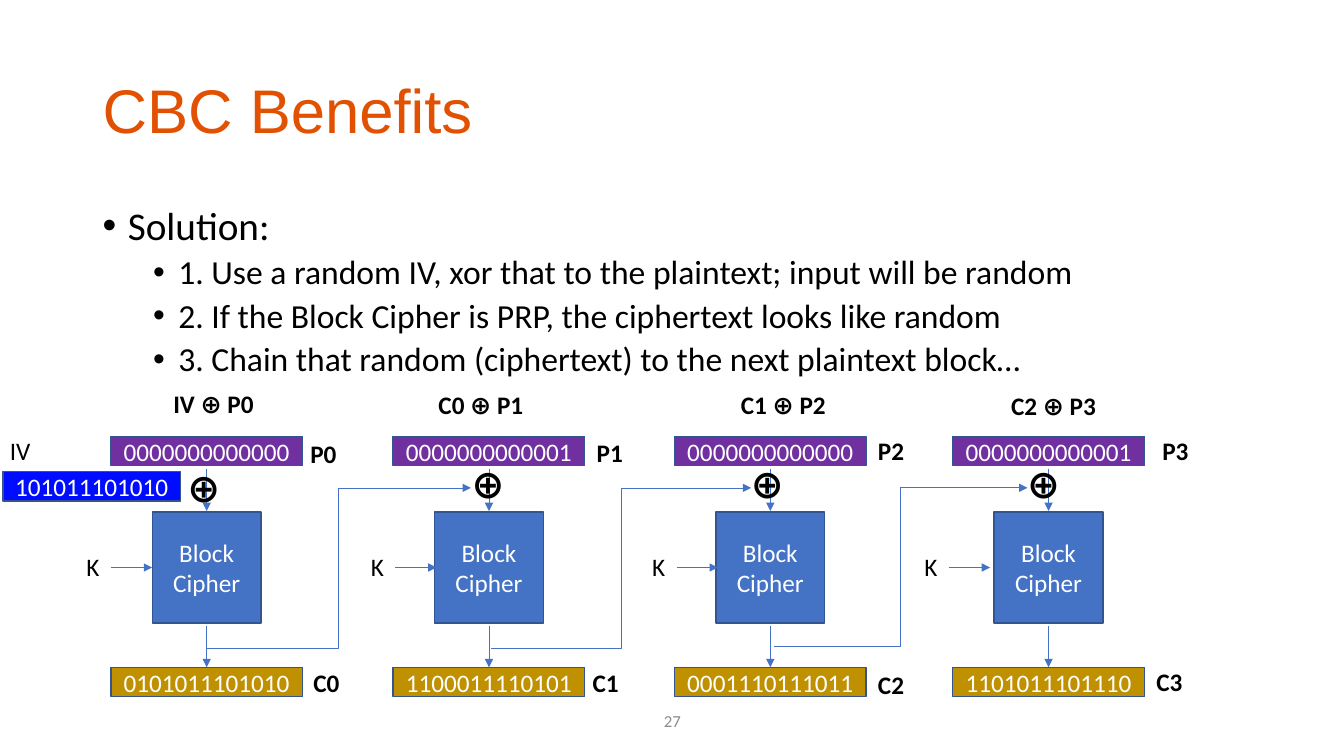
from collections import namedtuple

from lxml.etree import SubElement
from pptx import Presentation
from pptx.dml.color import RGBColor
from pptx.enum.shapes import MSO_CONNECTOR as Connector, MSO_SHAPE as Shape
from pptx.enum.text import MSO_ANCHOR as Anchor, PP_ALIGN as Align
from pptx.oxml.ns import qn
from pptx.util import Pt

PX = 9144  # 100 px to the inch
COLORS = {
    "title": "E15101", "text": "000000", "number": "8C8C8C", "white": "FFFFFF",
    "plain": "7030A0", "block": "4472C4", "cipher": "BF9000", "iv": "000CFF",
    "outline": "325491", "arrow": "4472C4",
}

# Label positions are offsets from the top left corner of the stage.
Stage = namedtuple("Stage", "left plain cipher formula formula_at plain_at cipher_at xor_at key_x")
STAGES = [
    Stage(110, "0000000000000", "0101011101010", "IV ⊕ P0",
          (52, -53), (188, -3), (191, 224), (66, 22), 0),
    Stage(390, "0000000000001", "1100011110101", "C0 ⊕ P1",
          (35, -52), (192, -4), (188, 224), (68, 18), 2),
    Stage(669, "0000000000000", "0001110111011", "C1 ⊕ P2",
          (56, -52), (192, -6), (192, 226), (66, 18), 2),
    Stage(945, "0000000000001", "1101011101110", "C2 ⊕ P3",
          (48, -51), (198, -6), (192, 223), (64, 18), -4),
]
FEEDBACKS = [((205, 643), (467, 484)), ((487, 643), (745, 484)), ((768, 641), (1019, 484))]
BODY = [
    (0, "Solution:"),
    (1, "1. Use a random IV, xor that to the plaintext; input will be random"),
    (1, "2. If the Block Cipher is PRP, the ciphertext looks like random"),
    (1, "3. Chain that random (ciphertext) to the next plaintext block…"),
]


def rgb(name):
    return RGBColor.from_string(COLORS[name])


def emu(*lengths):
    return [length * PX for length in lengths]


def set_font(paragraph, size, color="text", bold=False, name="Calibri"):
    font = paragraph.font
    font.name, font.size, font.bold = name, Pt(size), bold
    font.color.rgb = rgb(color)


def add_text(slide, box, text, size=18, color="text", bold=False, name="Calibri",
             wrap=False, anchor=Anchor.TOP, align=Align.LEFT):
    frame = slide.shapes.add_textbox(*emu(*box)).text_frame
    frame.word_wrap = wrap
    frame.vertical_anchor = anchor
    paragraph = frame.paragraphs[0]
    paragraph.text = text
    paragraph.alignment = align
    set_font(paragraph, size, color, bold, name)
    return paragraph


def add_box(slide, box, lines, fill):
    shape = slide.shapes.add_shape(Shape.RECTANGLE, *emu(*box))
    shape.shadow.inherit = False
    shape.fill.solid()
    shape.fill.fore_color.rgb = rgb(fill)
    shape.line.color.rgb = rgb("outline")
    shape.line.width = Pt(1)
    frame = shape.text_frame
    frame.vertical_anchor = Anchor.MIDDLE
    frame.text = "\n".join(lines)
    for paragraph in frame.paragraphs:
        paragraph.alignment = Align.CENTER
        set_font(paragraph, 18, "white")


def add_arrow(slide, start, end, kind=Connector.STRAIGHT):
    arrow = slide.shapes.add_connector(kind, *emu(*start, *end))
    arrow.line.color.rgb = rgb("arrow")
    arrow.line.width = Pt(0.5)
    SubElement(arrow.line._get_or_add_ln(), qn("a:tailEnd"), type="triangle")
    SubElement(arrow._element.spPr, qn("a:effectLst"))


def add_body(slide, box):
    frame = slide.shapes.add_textbox(*emu(*box)).text_frame
    frame.word_wrap = True
    for index, (level, text) in enumerate(BODY):
        paragraph = frame.add_paragraph() if index else frame.paragraphs[0]
        paragraph.text = text
        paragraph.level = level
        paragraph.line_spacing = 0.9
        if index:
            paragraph.space_before = Pt(5)
        properties = paragraph._p.get_or_add_pPr()
        properties.set("marL", str((25 + 50 * level) * PX))
        properties.set("indent", str(-25 * PX))
        SubElement(properties, qn("a:buFont"), typeface="Arial")
        SubElement(properties, qn("a:buChar"), char="•")
        set_font(paragraph, 28 - 4 * level)


def add_stage(slide, top, index, stage):
    """Draw one block of the chain: plaintext, xor, block cipher, ciphertext."""
    left = stage.left
    center = left + 95
    key_left, key_y = left + stage.key_x, top + 130

    add_box(slide, (left, top, 190, 29), [stage.plain], "plain")
    add_box(slide, (left + 41, top + 75, 108, 110), ["Block", "Cipher"], "block")
    add_box(slide, (left, top + 229, 190, 29), [stage.cipher], "cipher")
    add_arrow(slide, (center, top + 32), (center, top + 74))
    add_arrow(slide, (center, top + 188), (center, top + 229))
    add_text(slide, (key_left - 34, top + 109, 33, 40), "K")
    add_arrow(slide, (key_left, key_y), (key_left + 41, key_y))

    labels = [
        (stage.formula, stage.formula_at, (109, 40), 18),
        (f"P{index}", stage.plain_at, (46, 40), 18),
        (f"C{index}", stage.cipher_at, (46, 40), 18),
        ("⊕", stage.xor_at, (54, 57), 28),
    ]
    for text, (x, y), size, points in labels:
        add_text(slide, (left + x, top + y, *size), text, points, bold=True)


def add_chain(slide, top):
    for index, stage in enumerate(STAGES):
        add_stage(slide, top, index, stage)
    for start, end in FEEDBACKS:
        add_arrow(slide, start, end, Connector.ELBOW)
    add_text(slide, (0, top - 6, 41, 40), "IV")
    add_box(slide, (3, top + 35, 176, 29), ["101011101010"], "iv")


def main():
    presentation = Presentation()
    presentation.slide_width, presentation.slide_height = emu(1333, 750)
    slide = presentation.slides.add_slide(presentation.slide_layouts[6])
    title = add_text(slide, (92, 40, 1150, 145), "CBC Benefits", 44, "title",
                     name="Arial", wrap=True, anchor=Anchor.MIDDLE)
    title.line_spacing = 0.9
    add_body(slide, (92, 200, 1150, 476))
    add_text(slide, (517, 695, 300, 40), "27", 12, "number", wrap=True,
             anchor=Anchor.MIDDLE, align=Align.CENTER)
    add_chain(slide, 433)
    presentation.save("out.pptx")


if __name__ == "__main__":
    main()
